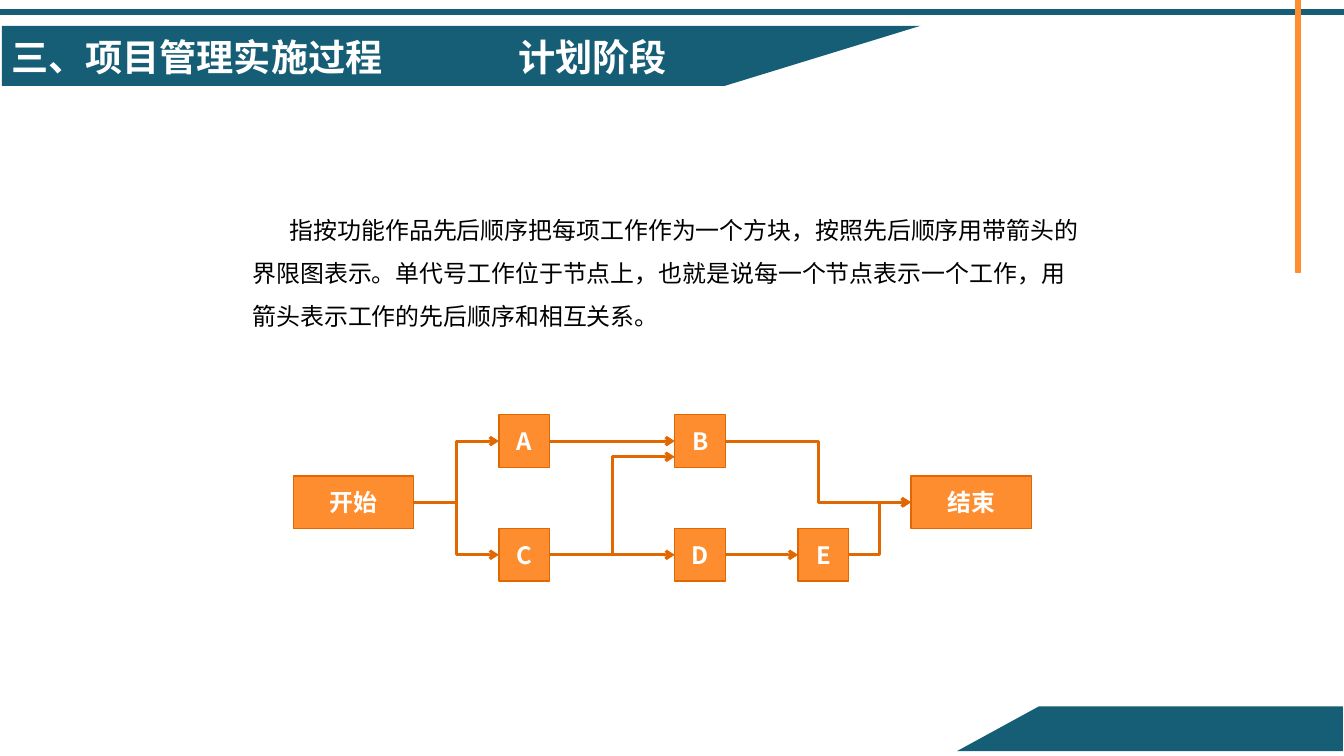
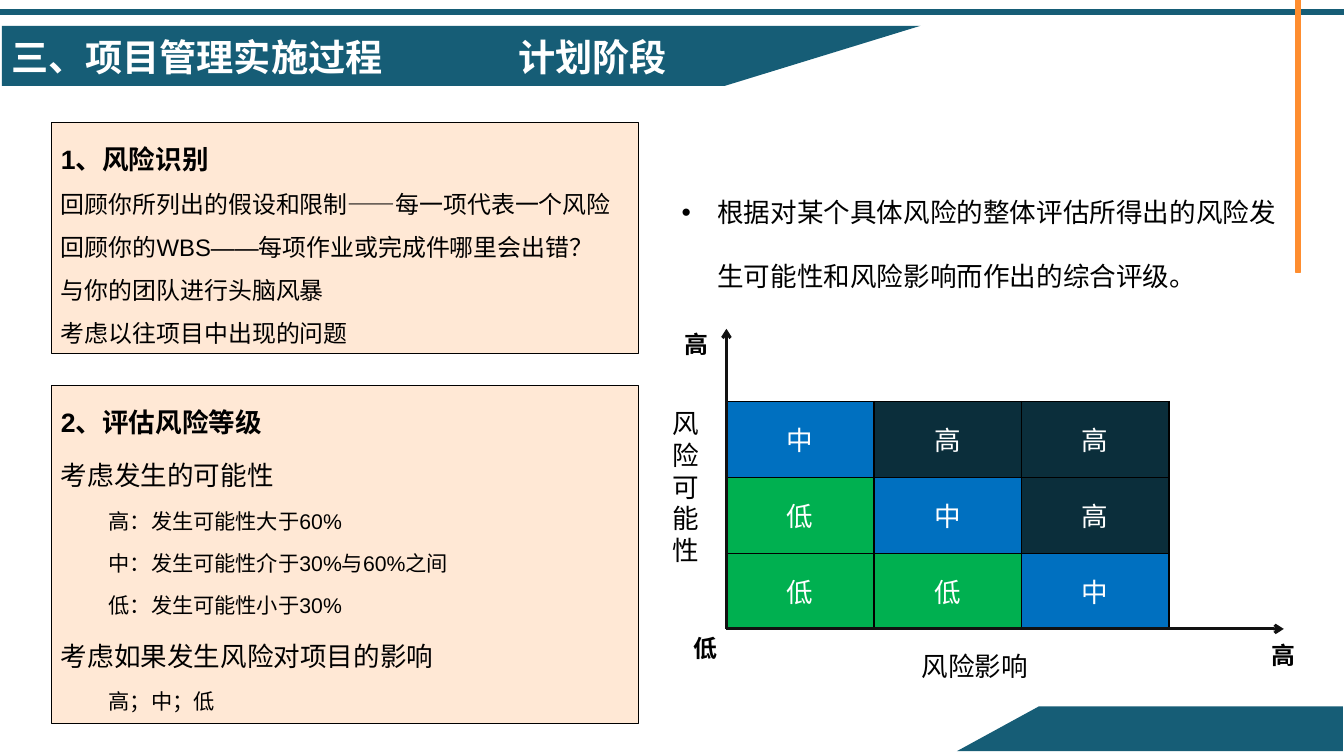
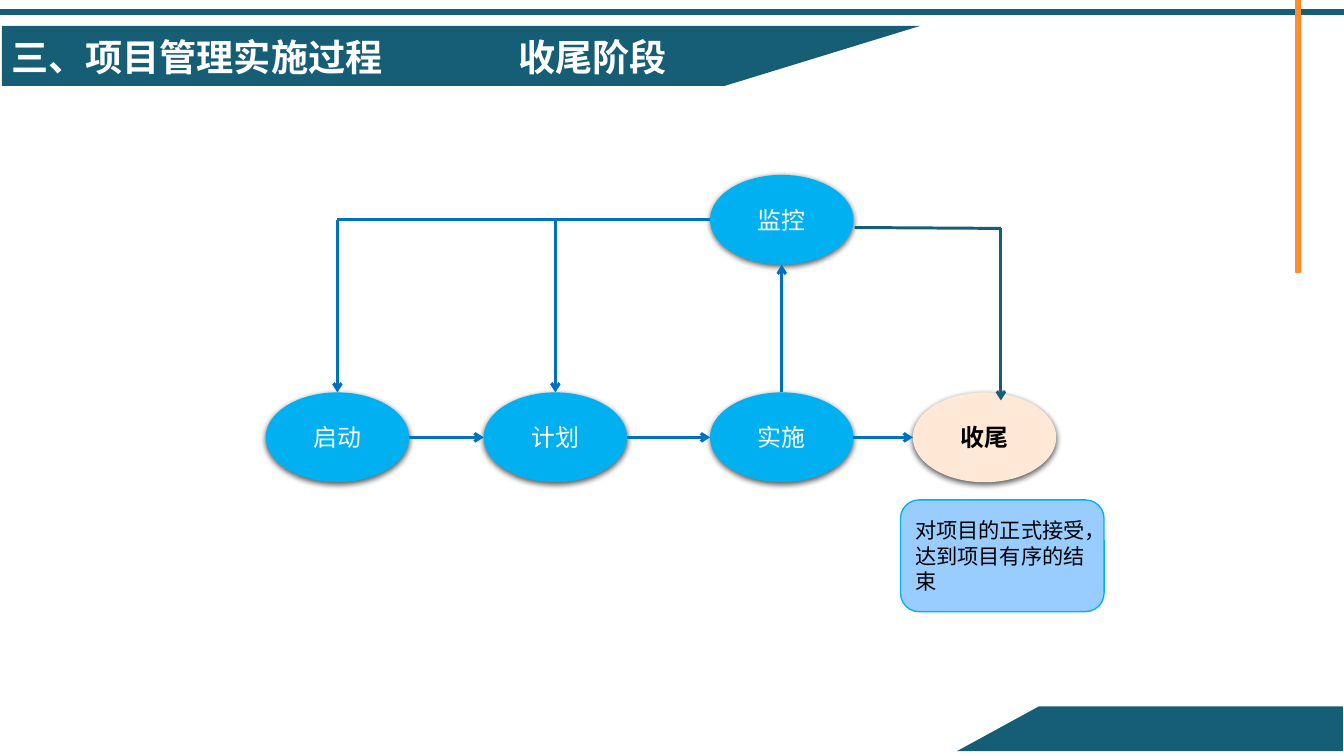
import lxml.etree
import pptx
import pptx.dml.color
import pptx.enum.shapes
import pptx.enum.text
import pptx.oxml.ns
import pptx.util

HUES = {
    "teal": "165D76", "orange": "FE8D2F", "rust": "E16701", "peach": "FFE8D5",
    "white": "FFFFFF", "black": "000000", "axis": "111111", "blue": "0070C0",
    "navy": "0B2E3B", "green": "00B050", "sky": "00B0F0", "pale": "99CCFF",
}
HAN = "Noto Sans CJK SC"
WIDE, HIGH = pptx.util.Inches(14.06), pptx.util.Inches(7.91)
PAGE = (0, 0, WIDE, HIGH)
LEAD = 1.2  # line pitch of single spacing, in ems

KIND = pptx.enum.shapes.MSO_SHAPE
LINK = pptx.enum.shapes.MSO_CONNECTOR
ALIGN = pptx.enum.text.PP_ALIGN
ANCHOR = pptx.enum.text.MSO_ANCHOR
TOP, LEFT, BOTTOM, RIGHT = range(4)
qn = pptx.oxml.ns.qn


# Geometry: lengths are percent shares of the box they sit in
def spot(box, x, y):
    return round(box[0] + box[2] * x / 100), round(box[1] + box[3] * y / 100)


def area(box, x, y, w, h):
    return spot(box, x, y) + (round(box[2] * w / 100), round(box[3] * h / 100))


def place(shape, box):
    shape.left, shape.top, shape.width, shape.height = box


def side(shape, name):
    box = (shape.left, shape.top, shape.width, shape.height)
    return spot(box, *{TOP: (50, 0), LEFT: (0, 50),
                       BOTTOM: (50, 100), RIGHT: (100, 50)}[name])


# Colour, text and shape helpers
def rgb(hue):
    return pptx.dml.color.RGBColor.from_string(HUES[hue])


def add(root, tag, **attrs):
    return lxml.etree.SubElement(root, qn(tag), attrs)


def style(par, size, hue="black", bold=False, font=HAN, align=ALIGN.LEFT,
          lead=None):
    par.alignment = align
    if lead:
        par.line_spacing = pptx.util.Pt(round(size * LEAD * lead, 1))
    for run in par.runs:
        run.font.size = pptx.util.Pt(size)
        run.font.bold = bold
        run.font.name = font
        run.font.color.rgb = rgb(hue)
        add(run._r.get_or_add_rPr(), "a:ea", typeface=HAN)


def write(shape, text, size, anchor=ANCHOR.MIDDLE, **look):
    frame = shape.text_frame
    frame.word_wrap = True
    frame.auto_size = pptx.enum.text.MSO_AUTO_SIZE.NONE
    frame.vertical_anchor = anchor
    frame.text = text
    for par in frame.paragraphs:
        style(par, size, **look)
    return frame


def paint(shape, fill, line=None):
    shape.shadow.inherit = False
    shape.fill.solid()
    shape.fill.fore_color.rgb = rgb(fill)
    if line:
        shape.line.color.rgb = rgb(line)
        shape.line.width = pptx.util.Pt(1)
    else:
        shape.line.fill.background()
    return shape


def block(slide, kind, box, fill, line=None):
    return paint(slide.shapes.add_shape(kind, *box), fill, line)


def outline(slide, box, points, fill):
    dots = [spot(box, *dot) for dot in points]
    path = slide.shapes.build_freeform(*dots[0], scale=1.0)
    path.add_line_segments(dots[1:], close=True)
    return paint(path.convert_to_shape(), fill)


def label(slide, box, text, size, **look):
    tag = slide.shapes.add_textbox(*box)
    frame = write(tag, text, size, **look)
    frame.margin_left = frame.margin_right = 0
    frame.margin_top = frame.margin_bottom = 0
    return tag


def link(slide, kind, start, end, hue, arrow=True):
    wire = slide.shapes.add_connector(kind, *start, *end)
    wire.line.color.rgb = rgb(hue)
    wire.line.width = pptx.util.Pt(2.25)
    root = wire.element.spPr
    if arrow:
        add(root.find(qn("a:ln")), "a:tailEnd", type="arrow")
    add(root, "a:effectLst")
    return wire


def trail(slide, points, hue):
    last = len(points) - 2
    for step, (start, end) in enumerate(zip(points, points[1:])):
        link(slide, LINK.STRAIGHT, start, end, hue, step == last)


# Shared frame, kept on the slide master
def frame(slide, master):
    bar = block(slide, KIND.RECTANGLE, area(PAGE, 0, 1.26, 100, 0.63),
                "teal", "teal")
    rail = block(slide, KIND.RECTANGLE, area(PAGE, 96.41, 0, 0.36, 36),
                 "orange", "orange")
    band = outline(slide, area(PAGE, 0.14, 3.41, 68.35, 7.96),
                   [(0, 0), (100, 0), (78.67, 100), (0, 100)], "teal")
    foot = outline(slide, area(PAGE, 71.19, 93.43, 28.73, 5.94),
                   [(100, 100), (0, 100), (21.29, 0), (100, 0)], "teal")
    head = slide.shapes.add_textbox(*area(PAGE, 0.14, 3.79, 34.85, 7.33))
    write(head, "三、项目管理实施过程", 28, hue="white", bold=True)
    for mark, part in enumerate((bar, rail, band, foot, head), 101):
        part.element.find(".//" + qn("p:cNvPr")).set("id", str(mark))
        master.shapes.element.append(part.element)


def title(slide, text):
    place(slide.shapes.title, area(PAGE, 37.84, 3.92, 13.73, 7.21))
    write(slide.shapes.title, text, 28, hue="white", bold=True, font="Calibri")


def body(slide, box, text, size, **look):
    hold = slide.placeholders[1]
    place(hold, box)
    par = write(hold, text, size, anchor=ANCHOR.TOP, **look).paragraphs[0]
    par.space_before = pptx.util.Pt(0)
    return par


# Slide 1: network of activities
def network(slide, box):
    wide, slim, tall = 16.32, 6.87, 31.61
    rows = {"high": 0, "mid": 36.8, "low": 100 - tall}
    plan = [("开始", 0, "mid", wide), ("A", 27.85, "high", slim),
            ("C", 27.85, "low", slim), ("B", 51.68, "high", slim),
            ("D", 51.68, "low", slim), ("E", 68.39, "low", slim),
            ("结束", 100 - wide, "mid", wide)]
    nodes = {}
    for name, x, row, width in plan:
        node = block(slide, KIND.RECTANGLE,
                     area(box, x, rows[row], width, tall), "orange", "rust")
        write(node, name, 18, hue="white", bold=True, align=ALIGN.CENTER)
        nodes[name] = node
    for kind, pairs in (
            (LINK.STRAIGHT, ("AB", "CD", "DE")),
            (LINK.ELBOW, (("开始", "A"), ("开始", "C"),
                          ("B", "结束"), ("E", "结束")))):
        for start, end in pairs:
            one, two = nodes[start], nodes[end]
            wire = link(slide, kind, side(one, RIGHT), side(two, LEFT), "rust")
            wire.begin_connect(one, RIGHT)
            wire.end_connect(two, LEFT)
    # C also feeds B, below the middle of its side
    goal = nodes["B"]
    entry = (goal.left, goal.top + round(goal.height * 0.8))
    wire = link(slide, LINK.ELBOW, side(nodes["C"], RIGHT), entry, "rust")
    wire.begin_connect(nodes["C"], RIGHT)


def order(slide):
    title(slide, "计划阶段")
    par = body(slide, area(PAGE, 18.07, 26.04, 63.3, 18.46),
               "指按功能作品先后顺序把每项工作作为一个方块，按照先后顺序用带箭头的"
               "界限图表示。单代号工作位于节点上，也就是说每一个节点表示一个工作，"
               "用箭头表示工作的先后顺序和相互关系。", 18, lead=1.5)
    rule = par._p.get_or_add_pPr()
    rule.set("marL", "0")
    rule.set("indent", str(pptx.util.Inches(0.39)))
    add(rule, "a:buNone")
    network(slide, area(PAGE, 21.83, 54.87, 54.91, 22))


# Slide 2: risk panels and matrix
def panel(slide, box, lines, gap):
    card = block(slide, KIND.RECTANGLE, box, "peach", "black")
    text = "\n".join(line[0] for line in lines)
    pars = write(card, text, 20, anchor=ANCHOR.TOP).paragraphs
    for rank, (par, (_, size, level)) in enumerate(zip(pars, lines)):
        for run in par.runs:
            for old in run._r.rPr.findall(qn("a:ea")):
                run._r.rPr.remove(old)
        style(par, size, bold=rank == 0, font="Arial", lead=1.5)
        par.space_before = pptx.util.Pt(size * gap if rank else 0)
        if level:
            par.level = level
            rule = par._p.get_or_add_pPr()
            rule.set("marL", str(pptx.util.Inches(0.5)))
            rule.set("indent", "0")


def border(cell):
    root = cell._tc.get_or_add_tcPr()
    for rank, tag in enumerate(("a:lnL", "a:lnR", "a:lnT", "a:lnB")):
        edge = lxml.etree.Element(qn(tag), {"w": str(pptx.util.Pt(1))})
        add(add(edge, "a:solidFill"), "a:srgbClr", val=HUES["black"])
        root.insert(rank, edge)


def matrix(slide, box):
    tones = {"低": "green", "中": "blue", "高": "navy"}
    rows = ("中高高", "低中高", "低低中")
    spread = area(box, 0, 24.2, 79.42, 75.8)
    grid = slide.shapes.add_table(3, 3, *spread).table
    grid.first_row = grid.horz_banding = False
    for r, row in enumerate(rows):
        grid.rows[r].height = spread[3] // 3
        grid.columns[r].width = spread[2] // 3
        for c, rank in enumerate(row):
            cell = grid.cell(r, c)
            cell.text = rank
            cell.vertical_anchor = ANCHOR.MIDDLE
            style(cell.text_frame.paragraphs[0], 20, "white",
                  align=ALIGN.CENTER)
            cell.fill.solid()
            cell.fill.fore_color.rgb = rgb(tones[rank])
            border(cell)
    # Axes and their labels
    for end in ((0, 0), (100, 100)):
        link(slide, LINK.STRAIGHT, spot(box, 0, 100), spot(box, *end), "axis")
    label(slide, area(box, -11.32, 24.2, 8.23, 56.69), "\n".join("风险可能性"),
          20, align=ALIGN.CENTER, lead=1)
    label(slide, area(box, 24.36, 105.41, 40.48, 14.01), "风险影响", 20,
          align=ALIGN.CENTER)
    for text, x, y in (("低", -7.55, 100), ("高", -9.26, -1.27),
                       ("高", 96.05, 102.23)):
        label(slide, area(box, x, y, 7.72, 12.74), text, 18, bold=True,
              align=ALIGN.CENTER)


def risk(slide):
    title(slide, "计划阶段")
    panel(slide, area(PAGE, 3.84, 16.18, 43.67, 30.59), [
        ("1、风险识别", 20, 0),
        ("回顾你所列出的假设和限制——每一项代表一个风险", 18, 0),
        ("回顾你的WBS——每项作业或完成件哪里会出错？", 18, 0),
        ("与你的团队进行头脑风暴", 18, 0),
        ("考虑以往项目中出现的问题", 18, 0)], 0)
    panel(slide, area(PAGE, 3.84, 50.95, 43.67, 44.75), [
        ("2、评估风险等级", 20, 0),
        ("考虑发生的可能性", 20, 0),
        ("高：发生可能性大于60%", 16, 1),
        ("中：发生可能性介于30%与60%之间", 16, 1),
        ("低：发生可能性小于30%", 16, 1),
        ("考虑如果发生风险对项目的影响", 20, 0),
        ("高；中；低", 16, 1)], 0.2)
    body(slide, area(PAGE, 50, 21.11, 46.3, 21.87),
         "根据对某个具体风险的整体评估所得出的风险发生可能性和风险影响"
         "而作出的综合评级。", 20, font="Arial", lead=2)
    matrix(slide, area(PAGE, 54.05, 43.49, 41.47, 39.7))


# Slide 3: cycle of phases
def oval(slide, box, text, fill, hue, bold):
    disc = block(slide, KIND.OVAL, box, fill)
    write(disc, text, 18, hue=hue, bold=bold, align=ALIGN.CENTER)
    glow = add(disc.element.spPr.find(qn("a:effectLst")), "a:outerShdw",
               blurRad=str(pptx.util.Pt(4.5)), dist=str(pptx.util.Pt(1.5)),
               dir="5400000", algn="ctr", rotWithShape="0")
    tint = add(glow, "a:srgbClr", val=HUES["black"])
    add(tint, "a:alpha", val="63000")
    return disc


def cycle(slide, box):
    row = 49.8
    discs = {}
    for name, x, y in (("监控", 53, 0), ("启动", 0, row), ("计划", 26, row),
                       ("实施", 53, row), ("收尾", 77.19, row)):
        last = name == "收尾"
        discs[name] = oval(slide, area(box, x, y, 17.1, 20.57), name,
                           "peach" if last else "sky",
                           "black" if last else "white", last)
    chain = ("启动", "计划", "实施", "收尾")
    for one, two in zip(chain, chain[1:]):
        trail(slide, [side(discs[one], RIGHT), side(discs[two], LEFT)], "blue")
    watch = discs["监控"]
    trail(slide, [side(discs["实施"], TOP), side(watch, BOTTOM)], "blue")
    # Feedback to the earlier phases
    start = side(watch, LEFT)
    for name in chain[:2]:
        goal = side(discs[name], TOP)
        trail(slide, [start, (goal[0], start[1]), goal], "blue")
    # Way to the closing phase, with its note
    trail(slide, [spot(box, 70.24, 12.04), spot(box, 87.69, 12.25),
                  spot(box, 87.69, 51.64)], "teal")
    note = block(slide, KIND.ROUNDED_RECTANGLE,
                 area(box, 75.71, 74.4, 24.29, 25.6), "pale", "sky")
    write(note, "对项目的正式接受，达到项目有序的结束", 16, lead=1)


def close(slide):
    title(slide, "收尾阶段")
    cycle(slide, area(PAGE, 19.77, 23.14, 62.38, 57.77))


def main():
    deck = pptx.Presentation()
    deck.slide_width, deck.slide_height = WIDE, HIGH
    for rank, (build, layout) in enumerate(((order, 1), (risk, 1), (close, 5))):
        slide = deck.slides.add_slide(deck.slide_layouts[layout])
        if rank == 0:
            frame(slide, deck.slide_master)
        build(slide)
    deck.save("out.pptx")


if __name__ == "__main__":
    main()
